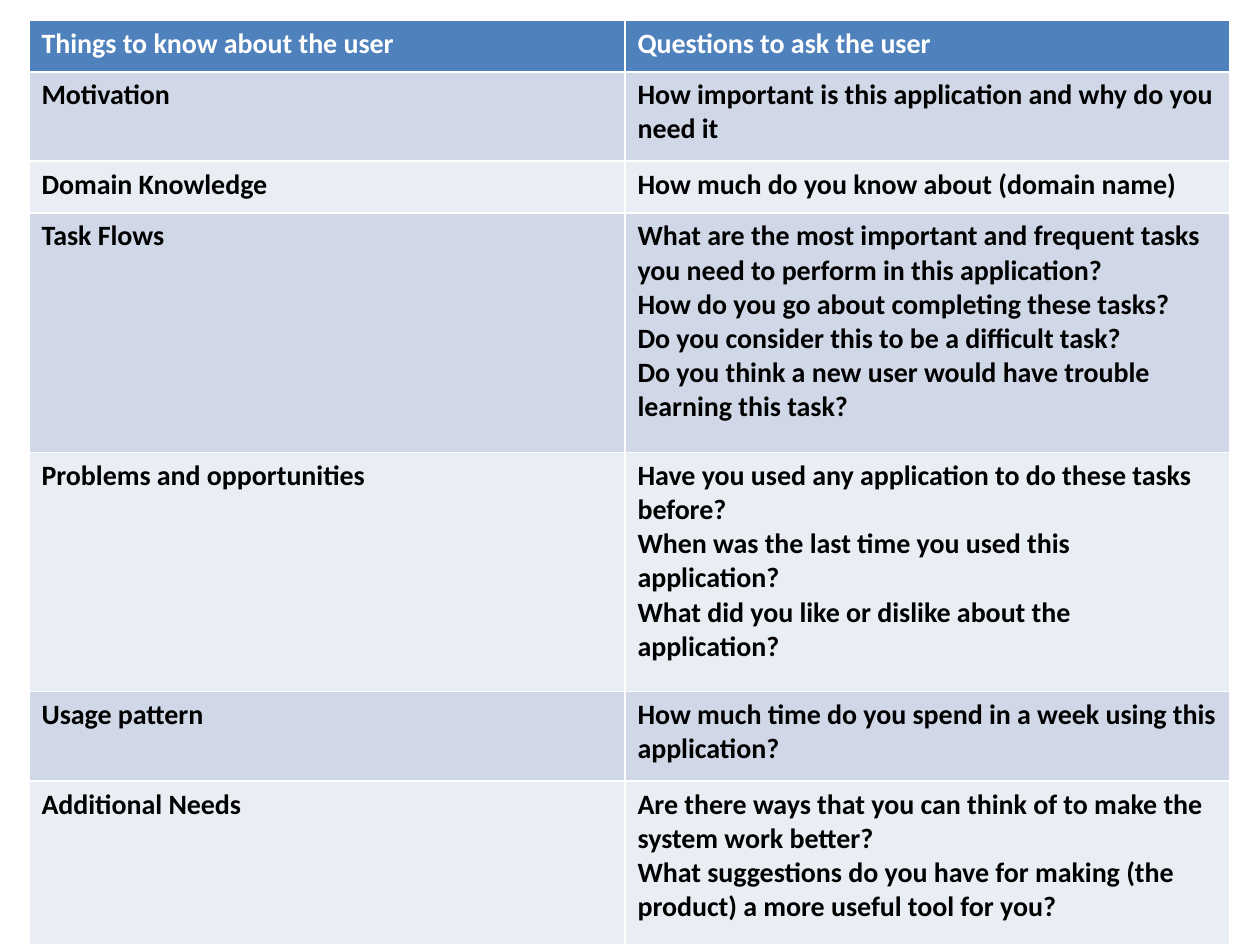
from pptx import Presentation
from pptx.dml.color import RGBColor
from pptx.util import Inches, Pt

COLORS = {
    "header": "4F81BD",
    "dark_band": "D0D8E8",
    "light_band": "E9EDF4",
    "header_text": "FFFFFF",
    "body_text": "000000",
}
COLUMN_WIDTHS = [4.73, 4.8]
ROW_HEIGHTS = [0.41, 0.71, 0.41, 1.9, 1.9, 0.71, 1.3]
ROWS = [
    ("Things to know about the user", ["Questions to ask the user"]),
    ("Motivation", ["How important is this application and why do you need it"]),
    ("Domain Knowledge", ["How much do you know about (domain name)"]),
    ("Task Flows", [
        "What are the most important and frequent tasks you need to perform in this application?",
        "How do you go about completing these tasks?",
        "Do you consider this to be a difficult task?",
        "Do you think a new user would have trouble learning this task?",
    ]),
    ("Problems and opportunities", [
        "Have you used any application to do these tasks before?",
        "When was the last time you used this application?",
        "What did you like or dislike about the application?",
    ]),
    ("Usage pattern", ["How much time do you spend in a week using this application?"]),
    ("Additional Needs", [
        "Are there ways that you can think of to make the system work better?",
        "What suggestions do you have for making (the product) a more useful tool for you?",
    ]),
]


def fill_cell(cell, lines, fill_color, text_color):
    cell.fill.solid()
    cell.fill.fore_color.rgb = RGBColor.from_string(COLORS[fill_color])
    text_frame = cell.text_frame
    for index, line in enumerate(lines):
        paragraph = text_frame.add_paragraph() if index else text_frame.paragraphs[0]
        run = paragraph.add_run()
        run.text = line
        run.font.name = "Calibri"
        run.font.size = Pt(16)
        run.font.bold = True
        run.font.color.rgb = RGBColor.from_string(COLORS[text_color])


presentation = Presentation()
presentation.slide_width = Inches(10)
presentation.slide_height = Inches(7.5)
slide = presentation.slides.add_slide(presentation.slide_layouts[6])

table = slide.shapes.add_table(
    len(ROWS), len(COLUMN_WIDTHS), Inches(0.23), Inches(0.16),
    Inches(sum(COLUMN_WIDTHS)), Inches(sum(ROW_HEIGHTS)),
).table
for column, width in zip(table.columns, COLUMN_WIDTHS):
    column.width = Inches(width)
for row, height in zip(table.rows, ROW_HEIGHTS):
    row.height = Inches(height)

for row_index, (topic, questions) in enumerate(ROWS):
    if row_index == 0:
        fill_color, text_color = "header", "header_text"
    else:
        fill_color = "dark_band" if row_index % 2 else "light_band"
        text_color = "body_text"
    for column_index, lines in enumerate([[topic], questions]):
        fill_cell(table.cell(row_index, column_index), lines, fill_color, text_color)

presentation.save("out.pptx")
